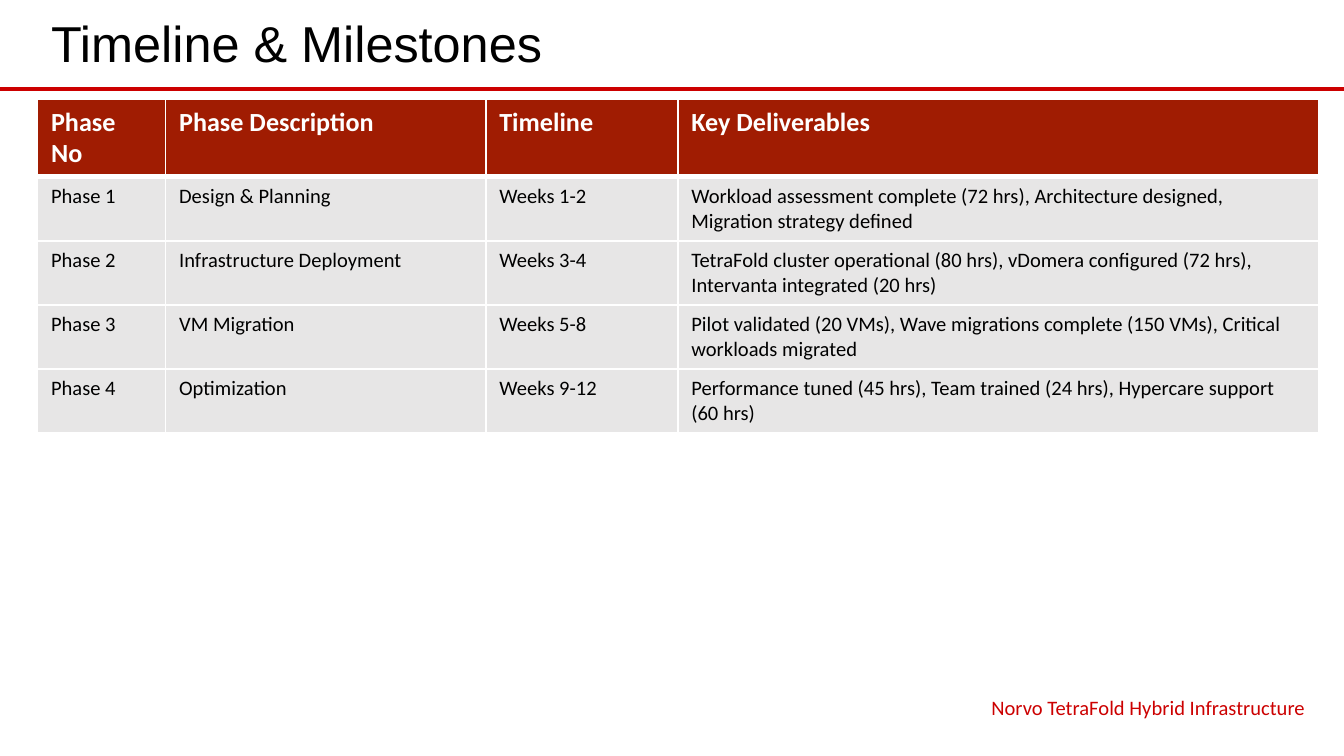
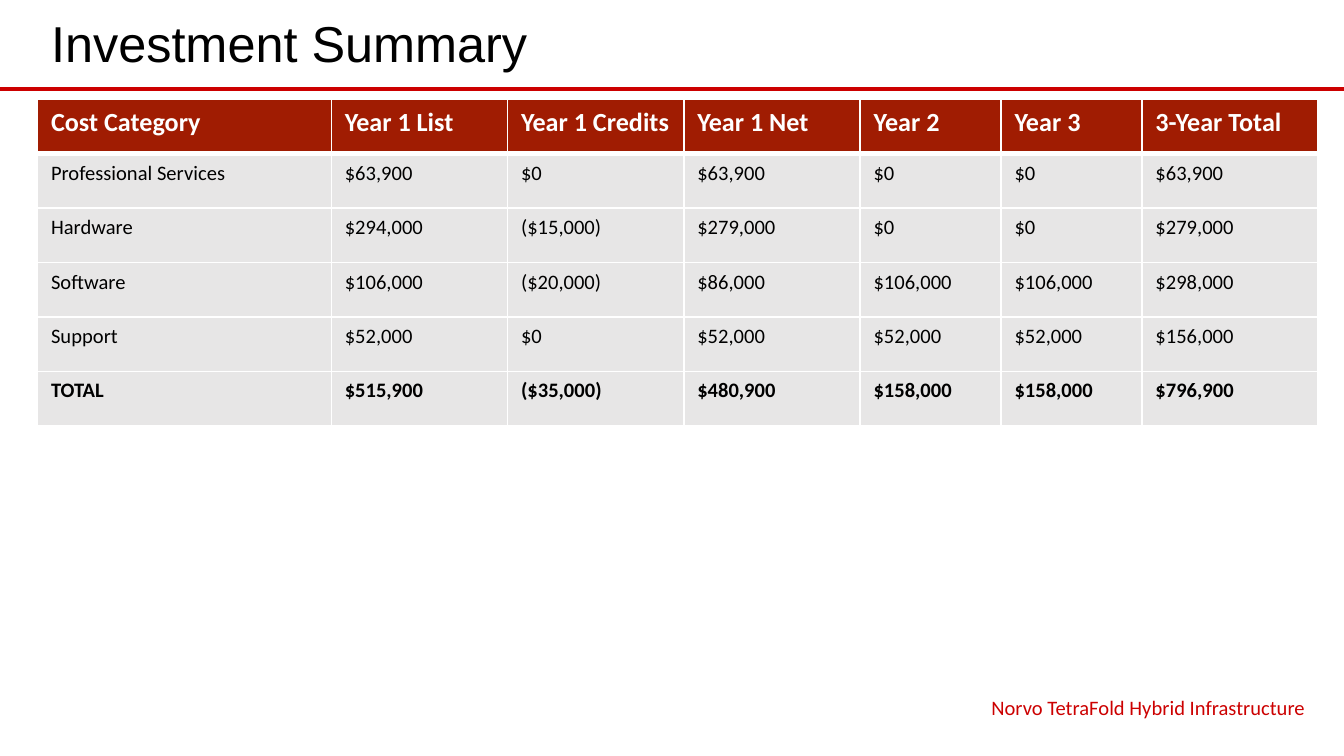
from dataclasses import dataclass

import pptx
import pptx.dml.color
import pptx.enum.shapes
import pptx.enum.text
import pptx.oxml
import pptx.oxml.ns
import pptx.presentation
import pptx.slide
import pptx.table
import pptx.text.text
import pptx.util
from pptx.util import Inches

RED = "CC0000"
HEADER_FILL = "A01C02"
BODY_FILL = "E7E6E6"
WHITE = "FFFFFF"
BLACK = "000000"

TITLE_FONT = "Arial"
TEXT_FONT = "Calibri"
FOOTER = "Norvo TetraFold Hybrid Infrastructure"

SLIDE_WIDTH = Inches(10)
SLIDE_HEIGHT = SLIDE_WIDTH * 9 // 16
LEFT = Inches(0.28)
CONTENT_WIDTH = Inches(9.53)
RULE_TOP = Inches(0.66)
TABLE_TOP = Inches(0.74)
ROW_HEIGHT = Inches(2.43) // 6
FOOTER_WIDTH = Inches(3.52)
GRID_PT = 1
HEADER_RULE_PT = 3


@dataclass(frozen=True)
class TableSlide:
    """One titled table; weights share out the content width."""
    title: str
    weights: tuple[int, ...]
    header: tuple[str, ...]
    rows: tuple[tuple[str, ...], ...]
    has_total: bool = False


SLIDES = (
    TableSlide(
        "Timeline & Milestones",
        (10, 25, 15, 50),
        ("Phase No", "Phase Description", "Timeline", "Key Deliverables"),
        (
            ("Phase 1", "Design & Planning", "Weeks 1-2",
             "Workload assessment complete (72 hrs), Architecture designed, "
             "Migration strategy defined"),
            ("Phase 2", "Infrastructure Deployment", "Weeks 3-4",
             "TetraFold cluster operational (80 hrs), vDomera configured (72 hrs), "
             "Intervanta integrated (20 hrs)"),
            ("Phase 3", "VM Migration", "Weeks 5-8",
             "Pilot validated (20 VMs), Wave migrations complete (150 VMs), "
             "Critical workloads migrated"),
            ("Phase 4", "Optimization", "Weeks 9-12",
             "Performance tuned (45 hrs), Team trained (24 hrs), "
             "Hypercare support (60 hrs)"),
        ),
    ),
    TableSlide(
        "Investment Summary",
        (25, 15, 15, 15, 12, 12, 15),
        ("Cost Category", "Year 1 List", "Year 1 Credits", "Year 1 Net",
         "Year 2", "Year 3", "3-Year Total"),
        (
            ("Professional Services", "$63,900", "$0", "$63,900", "$0", "$0", "$63,900"),
            ("Hardware", "$294,000", "($15,000)", "$279,000", "$0", "$0", "$279,000"),
            ("Software", "$106,000", "($20,000)", "$86,000", "$106,000", "$106,000",
             "$298,000"),
            ("Support", "$52,000", "$0", "$52,000", "$52,000", "$52,000", "$156,000"),
            ("TOTAL", "$515,900", "($35,000)", "$480,900", "$158,000", "$158,000",
             "$796,900"),
        ),
        has_total=True,
    ),
)


def rgb(color: str) -> pptx.dml.color.RGBColor:
    return pptx.dml.color.RGBColor.from_string(color)


def add_run(p: pptx.text.text._Paragraph, text: str, font: str, size: int,
            color: str, bold: bool = False) -> None:
    r = p.add_run()
    r.text = text
    r.font.name = font
    r.font.size = pptx.util.Pt(size)
    r.font.bold = bold
    r.font.color.rgb = rgb(color)


def set_up_frame(tf: pptx.text.text.TextFrame) -> None:
    tf.word_wrap = True
    tf.auto_size = pptx.enum.text.MSO_AUTO_SIZE.NONE
    tf.vertical_anchor = pptx.enum.text.MSO_ANCHOR.MIDDLE


def add_rule(s: pptx.slide.Slide) -> None:
    line = s.shapes.add_connector(pptx.enum.shapes.MSO_CONNECTOR.STRAIGHT,
                                  0, RULE_TOP, SLIDE_WIDTH, RULE_TOP)
    line.line.color.rgb = rgb(RED)
    line.line.width = pptx.util.Pt(2.25)
    sp_pr = line._element.spPr
    sp_pr.append(sp_pr.makeelement(pptx.oxml.ns.qn("a:effectLst"), {}))


def add_title(s: pptx.slide.Slide, text: str) -> None:
    sp = s.shapes.title
    sp.left, sp.top = LEFT, Inches(0.04)
    sp.width, sp.height = CONTENT_WIDTH, Inches(0.58)
    tf = sp.text_frame
    set_up_frame(tf)
    tf.margin_bottom = Inches(0.08)
    p = tf.paragraphs[0]
    p.alignment = pptx.enum.text.PP_ALIGN.LEFT
    add_run(p, text, TITLE_FONT, 27, BLACK)


def add_footer(s: pptx.slide.Slide) -> None:
    sp = s.shapes.add_textbox(LEFT + CONTENT_WIDTH - FOOTER_WIDTH, Inches(5.12),
                              FOOTER_WIDTH, Inches(0.26))
    tf = sp.text_frame
    set_up_frame(tf)
    tf.margin_top, tf.margin_bottom = Inches(0.05), Inches(0.02)
    p = tf.paragraphs[0]
    p.alignment = pptx.enum.text.PP_ALIGN.RIGHT
    add_run(p, FOOTER, TEXT_FONT, 11, RED)


def set_borders(cell: pptx.table._Cell, top: int, bottom: int) -> None:
    """Draw white cell borders; call before filling, as the schema orders them so."""
    tc_pr = cell._tc.get_or_add_tcPr()
    for side, points in (("L", GRID_PT), ("R", GRID_PT), ("T", top), ("B", bottom)):
        tc_pr.append(pptx.oxml.parse_xml(
            f'<a:ln{side} {pptx.oxml.ns.nsdecls("a")} w="{pptx.util.Pt(points)}">'
            f'<a:solidFill><a:srgbClr val="{WHITE}"/></a:solidFill></a:ln{side}>'))


def add_table(s: pptx.slide.Slide, content: TableSlide) -> None:
    lines = (content.header, *content.rows)
    table = s.shapes.add_table(len(lines), len(content.weights), LEFT, TABLE_TOP,
                               CONTENT_WIDTH, ROW_HEIGHT * len(lines)).table
    table.horz_banding = False
    for column, weight in zip(table.columns, content.weights):
        column.width = CONTENT_WIDTH * weight // sum(content.weights)

    for i, texts in enumerate(lines):
        is_header = i == 0
        is_total = content.has_total and i == len(lines) - 1
        for j, text in enumerate(texts):
            cell = table.cell(i, j)
            set_borders(cell, top=HEADER_RULE_PT if i == 1 else GRID_PT,
                        bottom=HEADER_RULE_PT if is_header else GRID_PT)
            cell.fill.solid()
            cell.fill.fore_color.rgb = rgb(HEADER_FILL if is_header else BODY_FILL)
            add_run(cell.text_frame.paragraphs[0], text, TEXT_FONT,
                    14 if is_header else 11, WHITE if is_header else BLACK,
                    bold=is_header or is_total)


def add_table_slide(prs: pptx.presentation.Presentation, content: TableSlide) -> None:
    s = prs.slides.add_slide(prs.slide_layouts.get_by_name("Title Only"))
    s.background.fill.solid()
    s.background.fill.fore_color.rgb = rgb(WHITE)
    add_rule(s)
    add_title(s, content.title)
    add_table(s, content)
    add_footer(s)


def main() -> None:
    prs = pptx.Presentation()
    prs.slide_width = SLIDE_WIDTH
    prs.slide_height = SLIDE_HEIGHT
    for content in SLIDES:
        add_table_slide(prs, content)
    prs.save("out.pptx")


if __name__ == "__main__":
    main()
